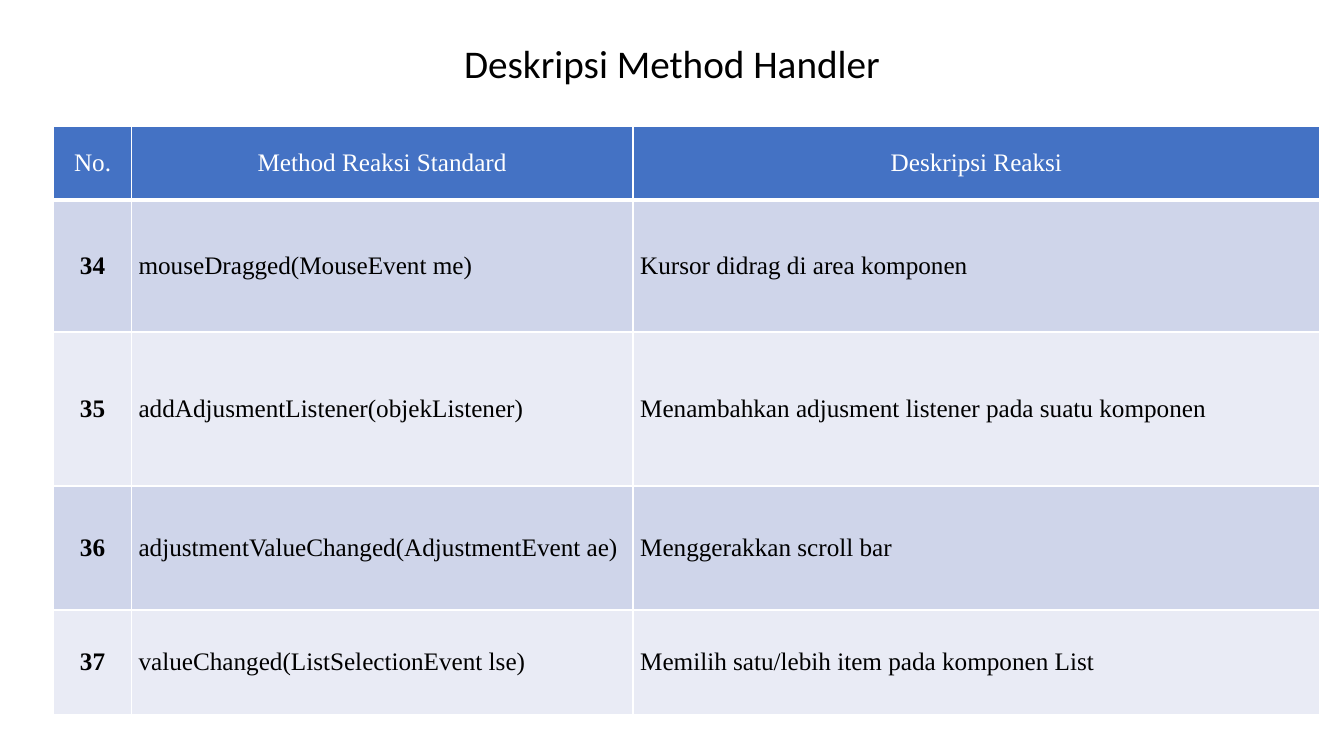
from dataclasses import dataclass

from lxml import etree
from pptx import Presentation
from pptx.dml.color import RGBColor
from pptx.enum.text import MSO_ANCHOR, PP_ALIGN
from pptx.oxml.ns import qn
from pptx.util import Pt

MIDDLE = MSO_ANCHOR.MIDDLE
CENTER = PP_ALIGN.CENTER
LEFT = PP_ALIGN.LEFT


@dataclass(frozen=True)
class Theme:
    """Colours, fonts and sizes of the slide."""
    white: str = "FFFFFF"
    ink: str = "000000"
    header: str = "4472C4"
    bands: tuple = ("CFD5EA", "E9EBF5")
    title_font: str = "Calibri"
    table_font: str = "Times New Roman"
    title_size: float = 28
    table_size: float = 18
    rule: float = 1
    header_rule: float = 3


THEME = Theme()
HEADINGS = ("No.", "Method Reaksi Standard", "Deskripsi Reaksi")
METHODS = (
    ("34", "mouseDragged(MouseEvent me)", "Kursor didrag di area komponen"),
    ("35", "addAdjusmentListener(objekListener)",
     "Menambahkan adjusment listener pada suatu komponen"),
    ("36", "adjustmentValueChanged(AdjustmentEvent ae)", "Menggerakkan scroll bar"),
    ("37", "valueChanged(ListSelectionEvent lse)",
     "Memilih satu/lebih item pada komponen List"),
)
COLUMN_SHARES = (0.77, 4.98, 6.82)
ROW_SHARES = (0.73, 1.31, 1.53, 1.23, 1.04)


def style_text(paragraph, font_name, size, color, align, bold=False):
    """Format a paragraph and its runs."""
    paragraph.alignment = align
    for run in paragraph.runs:
        run.font.name = font_name
        run.font.size = Pt(size)
        run.font.bold = bold
        run.font.color.rgb = RGBColor.from_string(color)


def add_title(slide, box, wording):
    """Place the centred title in its box."""
    title = slide.shapes.add_textbox(*(Pt(length) for length in box))
    frame = title.text_frame
    frame.word_wrap = True
    frame.vertical_anchor = MIDDLE
    frame.text = wording
    heading = frame.paragraphs[0]
    heading.line_spacing = 0.9
    style_text(heading, THEME.title_font, THEME.title_size, THEME.ink, CENTER)


def draw_borders(cell, top, bottom):
    """Draw white borders around a cell."""
    properties = cell._tc.get_or_add_tcPr()
    for side, width in (("L", THEME.rule), ("R", THEME.rule), ("T", top), ("B", bottom)):
        line = etree.SubElement(properties, qn(f"a:ln{side}"), w=str(Pt(width)))
        fill = etree.SubElement(line, qn("a:solidFill"))
        etree.SubElement(fill, qn("a:srgbClr"), val=THEME.white)


def fill_cell(cell, wording, row, column):
    """Write and format one cell according to its row and column."""
    is_header = row == 0
    is_number = column == 0
    draw_borders(cell, THEME.header_rule if row == 1 else THEME.rule,
                 THEME.header_rule if is_header else THEME.rule)
    cell.fill.solid()
    background = THEME.header if is_header else THEME.bands[(row - 1) % 2]
    cell.fill.fore_color.rgb = RGBColor.from_string(background)
    cell.margin_left = cell.margin_right = Pt(5.2)
    cell.margin_top = cell.margin_bottom = Pt(0)
    cell.vertical_anchor = MIDDLE
    cell.text_frame.text = wording
    style_text(cell.text_frame.paragraphs[0], THEME.table_font, THEME.table_size,
               THEME.white if is_header else THEME.ink,
               CENTER if is_header or is_number else LEFT,
               bold=is_number and not is_header)


def add_method_table(slide, box):
    """Divide the box into the table of handler methods."""
    left, top, width, height = box
    entries = (HEADINGS, *METHODS)
    table = slide.shapes.add_table(len(entries), len(HEADINGS), Pt(left), Pt(top),
                                   Pt(width), Pt(height)).table
    for column, share in zip(table.columns, COLUMN_SHARES):
        column.width = Pt(width * share / sum(COLUMN_SHARES))
    for row, share in zip(table.rows, ROW_SHARES):
        row.height = Pt(height * share / sum(ROW_SHARES))
    for row, entry in enumerate(entries):
        for column, wording in enumerate(entry):
            fill_cell(table.cell(row, column), wording, row, column)


def main():
    """Build and save the slide."""
    presentation = Presentation()
    presentation.slide_width = Pt(960)
    presentation.slide_height = Pt(540)
    slide = presentation.slides.add_slide(presentation.slide_layouts[6])
    add_method_table(slide, (38.4, 90.3, 904.4, 420.3))
    add_title(slide, (156, 21.6, 648, 50.4), "Deskripsi Method Handler")
    presentation.save("out.pptx")


if __name__ == "__main__":
    main()
